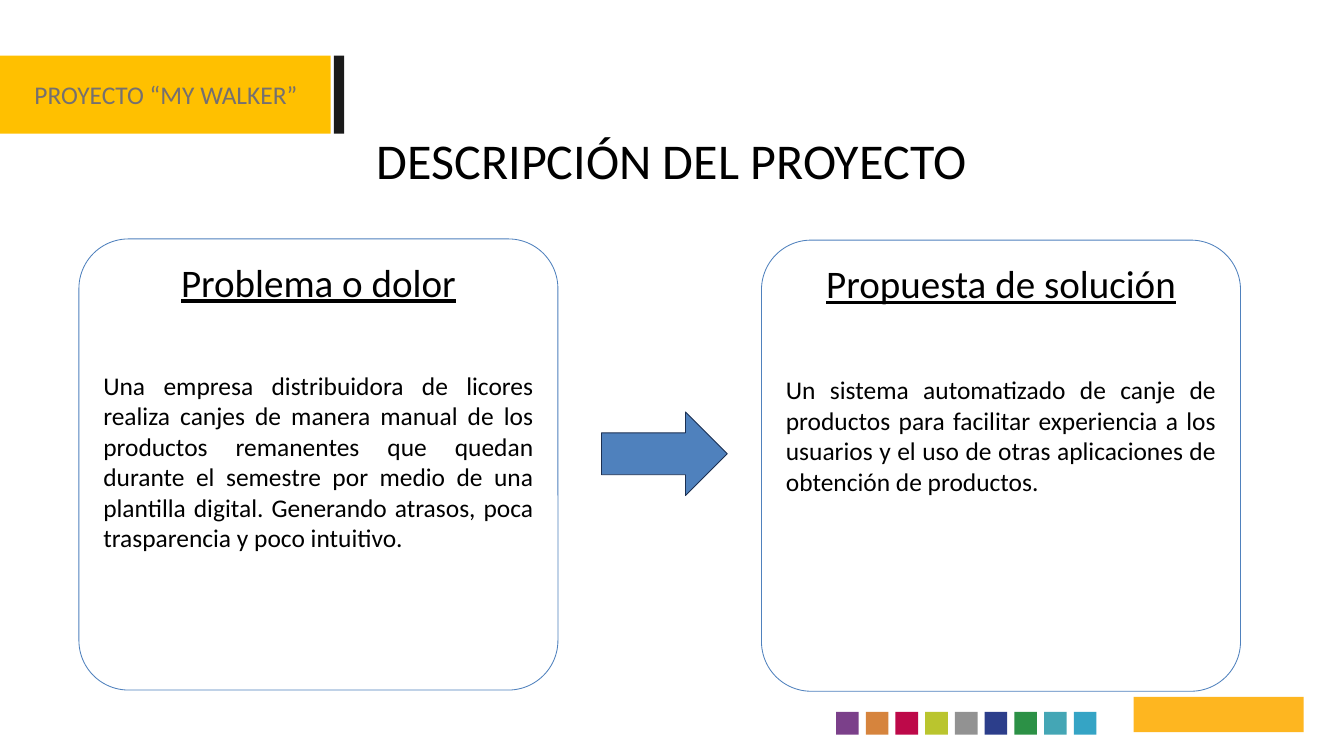
from collections import namedtuple

from pptx import Presentation
from pptx.dml.color import RGBColor
from pptx.enum.shapes import MSO_SHAPE
from pptx.enum.text import MSO_ANCHOR, MSO_AUTO_SIZE, PP_ALIGN
from pptx.util import Cm, Pt

Box = namedtuple("Box", "left top width height")

COLOURS = {
    "banner": "FFC000",
    "bar": "1A1A1A",
    "label": "757070",
    "text": "000000",
    "card": "FFFFFF",
    "outline": "4F81BD",
    "arrow": "4F81BD",
    "arrow_line": "1C3052",
    "emblem": "FEB620",
}
STRIP_COLOURS = ["7B408A", "D6843D", "BD0949", "BAC52E", "929292",
                 "2C3E8B", "2C9146", "44A6B5", "35A4C5"]
FONT = "Calibri"
PAGE_WIDTH, PAGE_HEIGHT = 55.86, 31.42
CARDS = [
    (Box(3.28, 9.93, 19.91, 18.75), "Problema o dolor", 76,
     "Una empresa distribuidora de licores realiza canjes de manera manual "
     "de los productos remanentes que quedan durante el semestre por medio "
     "de una plantilla digital. Generando atrasos, poca trasparencia y poco "
     "intuitivo."),
    (Box(31.65, 9.98, 19.91, 18.75), "Propuesta de solución", 80,
     "Un sistema automatizado de canje de productos para facilitar "
     "experiencia a los usuarios y el uso de otras aplicaciones de "
     "obtención de productos."),
]


def colour(hex_value):
    return RGBColor.from_string(hex_value)


def lengths(box):
    return [Cm(value) for value in box]


def add_plain_shape(page, kind, box, fill, line=None):
    shape = page.shapes.add_shape(kind, *lengths(box))
    shape.shadow.inherit = False
    shape.fill.solid()
    shape.fill.fore_color.rgb = colour(fill)
    if line:
        shape.line.color.rgb = colour(line)
        shape.line.width = Pt(1)
    else:
        shape.line.fill.background()
    return shape


def prepare_frame(frame, anchor=MSO_ANCHOR.TOP):
    frame.word_wrap = True
    frame.auto_size = MSO_AUTO_SIZE.NONE
    frame.vertical_anchor = anchor
    frame.margin_left = frame.margin_right = Cm(0.41)
    frame.margin_top = frame.margin_bottom = Cm(0.2)
    return frame


def add_span(para, text, size, hex_value, alignment, underline=False):
    para.alignment = alignment
    span = para.add_run()
    span.text = text
    span.font.name = FONT
    span.font.size = Pt(size)
    span.font.underline = underline
    span.font.color.rgb = colour(hex_value)


def add_banner(page, box):
    add_plain_shape(page, MSO_SHAPE.RECTANGLE, box, COLOURS["banner"])
    bar = Box(box.left + box.width + 0.14, box.top, 0.42, box.height)
    add_plain_shape(page, MSO_SHAPE.RECTANGLE, bar, COLOURS["bar"])
    label_box = Box(box.left + 1.02, box.top + 0.76, 11.86, 1.7)
    label = page.shapes.add_textbox(*lengths(label_box))
    frame = prepare_frame(label.text_frame)
    add_span(frame.paragraphs[0], "PROYECTO “MY WALKER”", 30,
             COLOURS["label"], PP_ALIGN.LEFT)


def fill_title(page, box):
    title = page.shapes.title
    title.left, title.top, title.width, title.height = lengths(box)
    frame = prepare_frame(title.text_frame)
    add_span(frame.paragraphs[0], "DESCRIPCIÓN DEL PROYECTO", 59,
             COLOURS["text"], PP_ALIGN.CENTER)


def add_card(page, box, heading, gap, body):
    card = add_plain_shape(page, MSO_SHAPE.ROUNDED_RECTANGLE, box,
                           COLOURS["card"], COLOURS["outline"])
    card.adjustments[0] = 0.11
    frame = prepare_frame(card.text_frame)
    add_span(frame.paragraphs[0], heading, 46, COLOURS["text"],
             PP_ALIGN.CENTER, underline=True)
    para = frame.add_paragraph()
    para.space_before = Pt(gap)
    add_span(para, body, 30, COLOURS["text"], PP_ALIGN.JUSTIFY)


def add_arrow(page, box):
    add_plain_shape(page, MSO_SHAPE.RIGHT_ARROW, box,
                    COLOURS["arrow"], COLOURS["arrow_line"])


def add_colour_strip(page, box):
    side = box.height
    pitch = (box.width - side) / (len(STRIP_COLOURS) - 1)
    for index, fill in enumerate(STRIP_COLOURS):
        square = Box(box.left + index * pitch, box.top, side, side)
        add_plain_shape(page, MSO_SHAPE.RECTANGLE, square, fill)


def add_emblem(page, box):
    add_plain_shape(page, MSO_SHAPE.RECTANGLE, box, COLOURS["emblem"])


def main():
    deck = Presentation()
    deck.slide_width, deck.slide_height = Cm(PAGE_WIDTH), Cm(PAGE_HEIGHT)
    page = deck.slides.add_slide(deck.slide_layouts[5])
    add_banner(page, Box(0, 2.31, 13.74, 3.25))
    add_colour_strip(page, Box(34.75, 29.59, 10.82, 0.94))
    add_emblem(page, Box(47.12, 28.96, 7.06, 1.47))
    fill_title(page, Box(0, 5.18, PAGE_WIDTH, 2.95))
    for card in CARDS:
        add_card(page, *card)
    add_arrow(page, Box(25, 17.12, 5.23, 3.48))
    deck.save("out.pptx")


if __name__ == "__main__":
    main()
